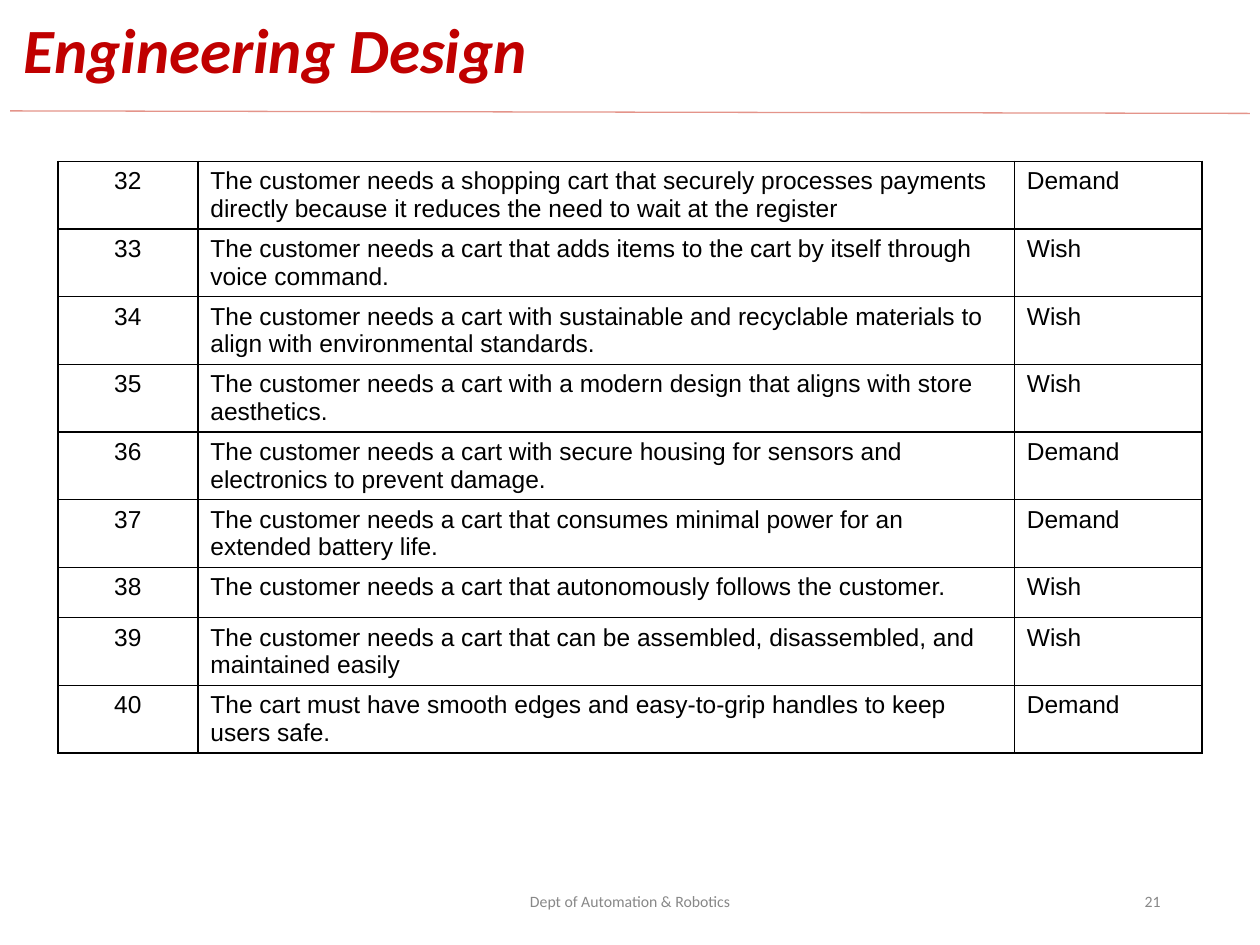
from lxml import etree
from pptx import Presentation
from pptx.dml.color import RGBColor
from pptx.enum.shapes import MSO_CONNECTOR
from pptx.enum.text import MSO_ANCHOR, MSO_AUTO_SIZE, PP_ALIGN
from pptx.oxml import parse_xml
from pptx.oxml.ns import nsdecls, qn
from pptx.util import Inches, Pt

LEFT, CENTER, RIGHT = PP_ALIGN.LEFT, PP_ALIGN.CENTER, PP_ALIGN.RIGHT
MIDDLE = MSO_ANCHOR.MIDDLE
NO_FIT = MSO_AUTO_SIZE.NONE
STRAIGHT = MSO_CONNECTOR.STRAIGHT

RED = RGBColor(0xC0, 0x00, 0x00)
ROSE = RGBColor(0xE4, 0x94, 0x8A)
GRAY = RGBColor(0x88, 0x88, 0x88)
BLACK = RGBColor(0x00, 0x00, 0x00)

TITLE = {"name": "Calibri", "size": Pt(36), "bold": True, "italic": True, "color": RED}
FOOTER = {"name": "Calibri", "size": Pt(9), "color": GRAY}
CELL = {"name": "Arial", "size": Pt(14), "bold": False, "color": BLACK}

FIRST = 32
NEEDS = [
    ("The customer needs a shopping cart that securely processes payments directly "
     "because it reduces the need to wait at the register", "Demand"),
    ("The customer needs a cart that adds items to the cart by itself through "
     "voice command.", "Wish"),
    ("The customer needs a cart with sustainable and recyclable materials to align "
     "with environmental standards.", "Wish"),
    ("The customer needs a cart with a modern design that aligns with store "
     "aesthetics.", "Wish"),
    ("The customer needs a cart with secure housing for sensors and electronics "
     "to prevent damage.", "Demand"),
    ("The customer needs a cart that consumes minimal power for an extended "
     "battery life.", "Demand"),
    ("The customer needs a cart that autonomously follows the customer.", "Wish"),
    ("The customer needs a cart that can be assembled, disassembled, and "
     "maintained easily", "Wish"),
    ("The cart must have smooth edges and easy-to-grip handles to keep users safe.",
     "Demand"),
]
WIDTHS = (1.11, 6.48, 1.49)
ALIGNS = (CENTER, LEFT, LEFT)
ROW = 0.4


def write(frame, text, style, align):
    frame.text = text
    para = frame.paragraphs[0]
    para.alignment = align
    font = para.runs[0].font
    for key, value in style.items():
        if key == "color":
            font.color.rgb = value
        else:
            setattr(font, key, value)
    return para


def add_title(slide, text):
    title = slide.shapes.title
    title.left, title.top = Inches(0.09), Inches(0.13)
    title.width, title.height = Inches(8.62), Inches(0.58)
    frame = title.text_frame
    frame.auto_size = NO_FIT
    frame.vertical_anchor = MIDDLE
    write(frame, text, TITLE, LEFT).line_spacing = 0.9


def add_rule(slide):
    rule = slide.shapes.add_connector(
        STRAIGHT, Inches(0.08), Inches(0.88), Inches(9.92), Inches(0.9))
    rule.line.color.rgb = ROSE
    rule.line.width = Pt(0.75)
    etree.SubElement(rule._element.spPr, qn("a:effectLst"))


def add_footer(slide, text, left, width, align):
    box = slide.shapes.add_textbox(
        Inches(left), Inches(6.95), Inches(width), Inches(0.4))
    frame = box.text_frame
    frame.word_wrap = True
    frame.vertical_anchor = MIDDLE
    write(frame, text, FOOTER, align)


def add_border(cell):
    """Draw a thin black line on all four sides of the cell."""
    props = cell._tc.get_or_add_tcPr()
    for spot, side in enumerate(("lnL", "lnR", "lnT", "lnB")):
        props.insert(spot, parse_xml(
            f'<a:{side} {nsdecls("a")} w="{Pt(1)}"><a:solidFill>'
            f'<a:srgbClr val="{BLACK}"/></a:solidFill></a:{side}>'))


def add_needs(slide):
    """Add the table; rows with two lines of text grow past ROW."""
    grid = slide.shapes.add_table(
        len(NEEDS), len(WIDTHS), Inches(0.46), Inches(1.28),
        Inches(sum(WIDTHS)), Inches(ROW * len(NEEDS))).table
    grid.first_row = grid.horz_banding = False
    for col, width in zip(grid.columns, WIDTHS):
        col.width = Inches(width)
    for num, (row, need) in enumerate(zip(grid.rows, NEEDS), FIRST):
        row.height = Inches(ROW)
        for cell, text, align in zip(row.cells, (str(num), *need), ALIGNS):
            write(cell.text_frame, text, CELL, align)
            cell.margin_bottom = Inches(0.02)
            cell.fill.background()
            add_border(cell)


def main():
    prs = Presentation()
    prs.slide_width, prs.slide_height = Inches(10), Inches(7.5)
    slide = prs.slides.add_slide(prs.slide_layouts.get_by_name("Title Only"))
    add_rule(slide)
    add_title(slide, "Engineering Design")
    add_footer(slide, "Dept of Automation & Robotics", 3.31, 3.38, CENTER)
    add_footer(slide, "21", 7.06, 2.25, RIGHT)
    add_needs(slide)
    prs.save("out.pptx")


if __name__ == "__main__":
    main()
